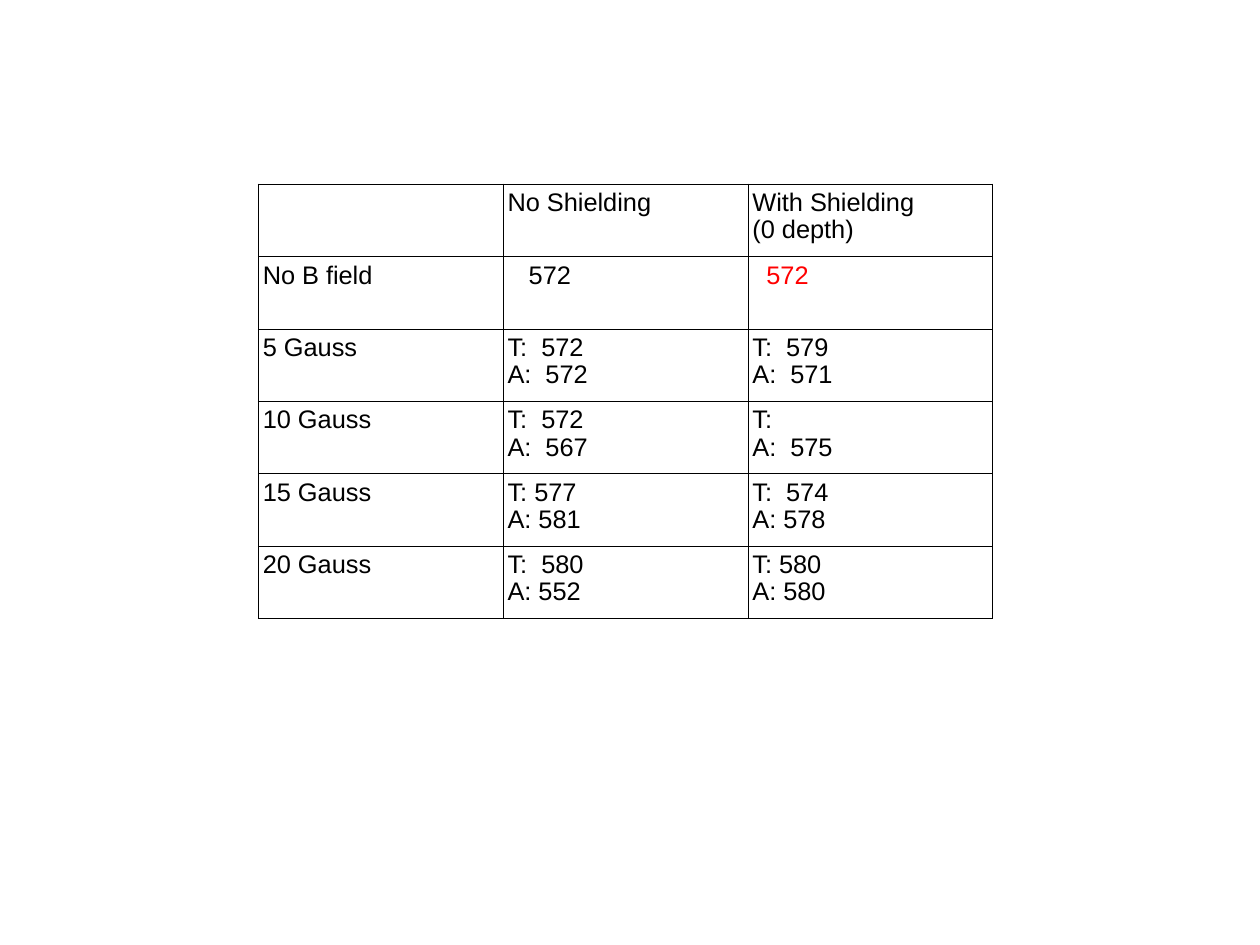
from lxml import etree
from pptx import Presentation
from pptx.dml.color import RGBColor
from pptx.oxml.ns import qn
from pptx.util import Cm, Pt

BLACK = RGBColor(0x00, 0x00, 0x00)
RED = RGBColor(0xFF, 0x00, 0x00)
BORDER_WIDTH = Pt(0.57)
BORDER_SIDES = ("a:lnL", "a:lnR", "a:lnT", "a:lnB")

READINGS = [
    ["", "No Shielding", "With Shielding\n(0 depth)"],
    ["No B field", "572", "572"],
    ["5 Gauss", "T:  572\nA:  572", "T:  579\nA:  571"],
    ["10 Gauss", "T:  572\nA:  567", "T:\nA:  575"],
    ["15 Gauss", "T: 577\nA: 581", "T:  574\nA: 578"],
    ["20 Gauss", "T:  580\nA: 552", "T: 580\nA: 580"],
]
COLUMN_WIDTH = Cm(5.44)
ROW_HEIGHT = Cm(1.61)


def add_borders(cell):
    properties = cell._tc.get_or_add_tcPr()
    for position, side in enumerate(BORDER_SIDES):
        line = etree.Element(qn(side), w=str(BORDER_WIDTH))
        fill = etree.SubElement(line, qn("a:solidFill"))
        etree.SubElement(fill, qn("a:srgbClr"), val=str(BLACK))
        properties.insert(position, line)


deck = Presentation()
deck.slide_width, deck.slide_height = Cm(28), Cm(21)
page = deck.slides.add_slide(deck.slide_layouts[6])

# Table grid
row_count, column_count = len(READINGS), len(READINGS[0])
table = page.shapes.add_table(
    row_count, column_count, Cm(5.74), Cm(4.09),
    column_count * COLUMN_WIDTH, row_count * ROW_HEIGHT).table
table.first_row = False
table.horz_banding = False
for column in table.columns:
    column.width = COLUMN_WIDTH
for row in table.rows:
    row.height = ROW_HEIGHT

# Cell text and borders
for row, texts in zip(table.rows, READINGS):
    for cell, text in zip(row.cells, texts):
        cell.text = text
        cell.fill.background()
        cell.margin_left = cell.margin_right = Cm(0.1)
        cell.margin_top = cell.margin_bottom = Cm(0.13)
        add_borders(cell)
        for para in cell.text_frame.paragraphs:
            para.line_spacing = 0.96
            para.font.name = "Arial"
            para.font.size = Pt(16)
            para.font.color.rgb = BLACK

# Indented values without a field, the shielded one in red
unshielded, shielded = table.cell(1, 1), table.cell(1, 2)
unshielded.margin_left = Cm(0.57)
shielded.margin_left = Cm(0.41)
shielded.text_frame.paragraphs[0].font.color.rgb = RED

deck.save("out.pptx")
